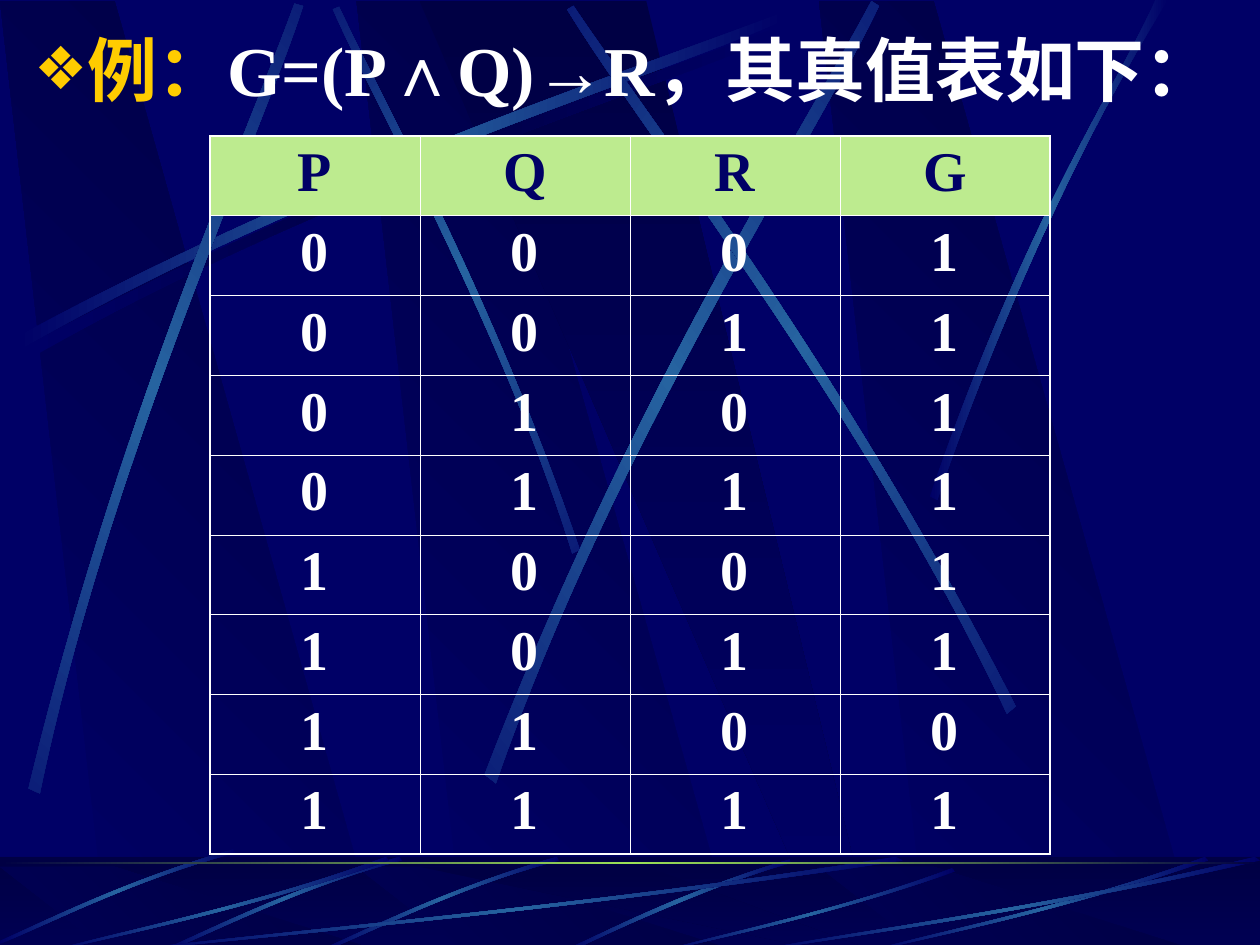
from itertools import product
from math import cos, radians, sin

from pptx import Presentation
from pptx.dml.color import RGBColor
from pptx.enum.shapes import MSO_SHAPE
from pptx.enum.text import MSO_ANCHOR as Anchor, MSO_AUTO_SIZE as AutoSize, PP_ALIGN as Align
from pptx.oxml.ns import qn
from pptx.util import Inches, Pt
from lxml.etree import SubElement

GRID_COLUMNS, GRID_ROWS = 10, 7.5
NAVY, MIDNIGHT, STEEL, WHITE = "000066", "000044", "2663A0", "FFFFFF"
GOLD, LIME, PALE_GREEN = "FFCC00", "9CE157", "BDEB8F"
SERIF, SANS, CHINESE = "Times New Roman", "Arial", "Noto Sans CJK SC"
GLOW = (NAVY, STEEL, NAVY)
SHADE = (NAVY, MIDNIGHT, NAVY)

RISING = [(0.14, 2.67), (2.78, 1.25), (5.18, 0.51), (6.2, 0.1),
          (6.23, 0.16), (5.22, 0.61), (2.48, 1.43), (0.17, 2.77)]
TALL_STREAKS = [
    (45, [(4.6, 4.36), (3.91, 2.34), (3.02, 0.77), (2.69, 0.05),
          (2.64, 0.07), (2.95, 0.79), (3.98, 2.58), (4.54, 4.39)]),
    (0, RISING),
    (311.7, [(0.23, 6.25), (0.93, 3.34), (1.97, 1.05), (2.34, 0.02),
             (2.41, 0.04), (2.07, 1.09), (0.86, 3.68), (0.32, 6.29)]),
    (321.6, [(3.85, 6.14), (4.98, 3.2), (6.38, 1.02), (6.92, 0),
             (6.98, 0.04), (6.49, 1.08), (4.86, 3.55), (3.94, 6.21)]),
    (34.8, [(8.06, 5.6), (6.7, 2.93), (5.16, 0.95), (4.55, 0.04),
            (4.5, 0.07), (5.07, 1.01), (6.85, 3.25), (7.99, 5.66)]),
    (0, [(7.38, 3.94), (8.14, 1.73), (8.88, 0.66), (9.17, 0),
         (9.27, 0), (8.36, 1.45), (7.69, 3.22), (7.44, 3.97)]),
]
FLOOR_STREAK = [(6.27, 6.82), (5.37, 7.09), (4.77, 7.42), (4.48, 7.54),
                (4.53, 7.55), (4.9, 7.37), (5.71, 7), (6.28, 6.85)]
FLOOR_GLINT = [(4.42, 6.8), (3.55, 7.05), (2.87, 7.4), (2.56, 7.53),
               (2.57, 7.55), (2.88, 7.43), (3.65, 7.03), (4.44, 6.83)]
SWEEP = [(1, 0.04), (0.57, 0.57), (0.17, 0.85), (0, 1),
         (0, 0.99), (0.17, 0.81), (0.61, 0.51), (0.99, 0)]
SWEEP_BOXES = [(1, 6.8, 6.17, 0.75), (0.42, 6.8, 2.67, 0.75), (5.27, 6.89, 2.31, 0.66),
               (6.92, 6.8, 2.67, 0.75), (6, 6.8, 4, 0.75)]


def color(value):
    return RGBColor.from_string(value)


def shift(points, right, down):
    return [(x + right, y + down) for x, y in points]


def turn(points, degrees):
    xs, ys = zip(*points)
    center_x, center_y = (min(xs) + max(xs)) / 2, (min(ys) + max(ys)) / 2
    c, s = cos(radians(degrees)), sin(radians(degrees))
    return [(center_x + (x - center_x) * c - (y - center_y) * s,
             center_y + (x - center_x) * s + (y - center_y) * c) for x, y in points]


def add_text(paragraph, text, size=40, font=SERIF, fill=WHITE, bold=True):
    run = paragraph.add_run()
    run.text = text
    run.font.size, run.font.name, run.font.bold = Pt(size), font, bold
    run.font.color.rgb = color(fill)
    SubElement(run.font._element, qn("a:ea"), typeface=font)


class SlideBuilder:
    def __init__(self, presentation):
        self.column = presentation.slide_width / GRID_COLUMNS
        self.row = presentation.slide_height / GRID_ROWS
        self.master = presentation.slide_master
        self.master.background.fill.solid()
        self.master.background.fill.fore_color.rgb = color(NAVY)
        self.slide = presentation.slides.add_slide(presentation.slide_layouts[1])
        title = self.slide.shapes.title._element
        title.getparent().remove(title)
        self.backdrop = self.slide.shapes.add_group_shape()

    def move_backdrop_to_master(self):
        group = self.backdrop._element
        for properties in group.iter(qn("p:cNvPr")):
            properties.set("id", str(int(properties.get("id")) + 100))
        self.master.shapes._spTree.insert(2, group)

    def place(self, left, top, width, height):
        return (round(left * self.column), round(top * self.row),
                round(width * self.column), round(height * self.row))

    def gradient(self, shape, colors, angle):
        shape.shadow.inherit = False
        shape.line.fill.background()
        shape.fill.gradient()
        shape.fill.gradient_angle = (360 - angle) % 360
        stops = shape._element.spPr.find(qn("a:gradFill")).find(qn("a:gsLst"))
        stops.clear()
        for index, value in enumerate(colors):
            stop = SubElement(stops, qn("a:gs"), pos=str(index * 100000 // (len(colors) - 1)))
            SubElement(stop, qn("a:srgbClr"), val=value)

    def outline(self, points, colors, angle=0):
        corners = [(round(x * self.column), round(y * self.row)) for x, y in points]
        builder = self.backdrop.shapes.build_freeform(*corners[0], scale=1.0)
        builder.add_line_segments(corners[1:], close=True)
        shape = builder.convert_to_shape()
        self.gradient(shape, colors, angle)
        return shape

    def streak(self, points, colors=GLOW, rotation=0):
        shape = self.outline(turn(points, -rotation), colors)
        shape.rotation = rotation
        lines = list(shape._element.iter(qn("a:lnTo")))
        for first, second, third in (lines[:3], lines[4:7]):
            first.tag = qn("a:cubicBezTo")
            for line in (second, third):
                first.append(line[0])
                line.getparent().remove(line)

    def beams(self, top, bottom):
        for left in (2.83, 0, 6.5):
            beam = [(0.86, bottom), (3.02, bottom), (0.91, top), (0, top)]
            self.outline(shift(beam, left, 0), (NAVY, MIDNIGHT), 315)
        wedge = [(3.33, top), (6.58, bottom), (6.94, bottom), (5.13, top)]
        self.outline(wedge, (MIDNIGHT, NAVY), 90)

    def bar(self, top, height, colors, angle=0):
        shape = self.backdrop.shapes.add_shape(MSO_SHAPE.RECTANGLE,
                                               *self.place(0, top, GRID_COLUMNS, height))
        self.gradient(shape, colors, angle)
        return shape

    def veil(self, top, height, opacity):
        shape = self.bar(top, height, (MIDNIGHT, MIDNIGHT))
        shape.fill.solid()
        shape.fill.fore_color.rgb = color(MIDNIGHT)
        tint = shape._element.spPr.find(qn("a:solidFill"))[0]
        SubElement(tint, qn("a:alpha"), val=str(opacity * 1000))

    def body(self, box, parts):
        shape = self.slide.placeholders[1]
        shape.left, shape.top, shape.width, shape.height = self.place(*box)
        frame = shape.text_frame
        frame.auto_size, frame.vertical_anchor = AutoSize.NONE, Anchor.TOP
        frame.margin_top, frame.margin_right = Inches(0.15), Inches(0.6)
        paragraph = frame.paragraphs[0]
        properties = paragraph._p.get_or_add_pPr()
        properties.set("marL", str(Inches(0.24)))
        properties.set("indent", str(-Inches(0.24)))
        SubElement(SubElement(properties, qn("a:buClr")), qn("a:srgbClr"), val=GOLD)
        SubElement(properties, qn("a:buSzPct"), val="85000")
        SubElement(properties, qn("a:buChar"), char="❖")
        paragraph.line_spacing, paragraph.space_before = 0.84, Pt(0)
        for text, style in parts:
            add_text(paragraph, text, **style)

    def border(self, cell, side, width):
        line = SubElement(cell._tc.get_or_add_tcPr(), qn(f"a:ln{side}"), w=str(Pt(width)))
        SubElement(SubElement(line, qn("a:solidFill")), qn("a:srgbClr"), val=WHITE)

    def table(self, box, rows):
        last_row, last_column = len(rows) - 1, len(rows[0]) - 1
        table = self.slide.shapes.add_table(len(rows), len(rows[0]), *self.place(*box)).table
        table.first_row = table.horz_banding = False
        for r, values in enumerate(rows):
            for c, value in enumerate(values):
                cell = table.cell(r, c)
                outer = {"L": c == 0, "R": c == last_column, "T": r == 0, "B": r == last_row}
                for side, is_outer in outer.items():
                    self.border(cell, side, 1.08 if is_outer else 0.45)
                if r == 0:
                    cell.fill.solid()
                    cell.fill.fore_color.rgb = color(PALE_GREEN)
                else:
                    cell.fill.background()
                cell.vertical_anchor = Anchor.MIDDLE
                cell.margin_top, cell.margin_bottom = Inches(0.03), Inches(0.08)
                paragraph = cell.text_frame.paragraphs[0]
                paragraph.alignment = Align.CENTER
                add_text(paragraph, str(value), size=32, fill=WHITE if r else NAVY)


def main():
    presentation = Presentation()
    presentation.slide_width, presentation.slide_height = Inches(10), Inches(7.5)
    builder = SlideBuilder(presentation)

    builder.beams(0.01, 7.52)
    builder.streak(shift(RISING, 0.06, 0.08), SHADE)
    for rotation, points in TALL_STREAKS:
        builder.streak(points, rotation=rotation)

    builder.bar(6.8, 0.75, (MIDNIGHT, NAVY), 90)
    builder.beams(6.88, 7.55)
    builder.veil(6.8, 0.75, 50)
    builder.streak(FLOOR_STREAK)
    for right, down in ((0, 0), (-1.25, 0), (-2.57, -0.06)):
        builder.streak(shift(FLOOR_GLINT, right, down))
    for left, top, width, height in SWEEP_BOXES:
        builder.streak([(left + x * width, top + y * height) for x, y in SWEEP])
    builder.bar(6.84, 0.02, (MIDNIGHT, LIME, MIDNIGHT))
    builder.move_backdrop_to_master()

    builder.body((0.17, 0.17, 9.67, 5.25), [
        ("例：", {"font": CHINESE, "fill": GOLD}), ("G=(P", {}), ("∧", {"font": SANS}),
        ("Q)", {}), ("→", {"font": SANS}), ("R", {}), ("，其真值表如下：", {"font": CHINESE})])
    truth_rows = [(p, q, r, int(not (p and q) or r)) for p, q, r in product((0, 1), repeat=3)]
    builder.table((GRID_COLUMNS / 6, 1.08, GRID_COLUMNS * 2 / 3, 5.7), ["PQRG", *truth_rows])
    presentation.save("out.pptx")


if __name__ == "__main__":
    main()
